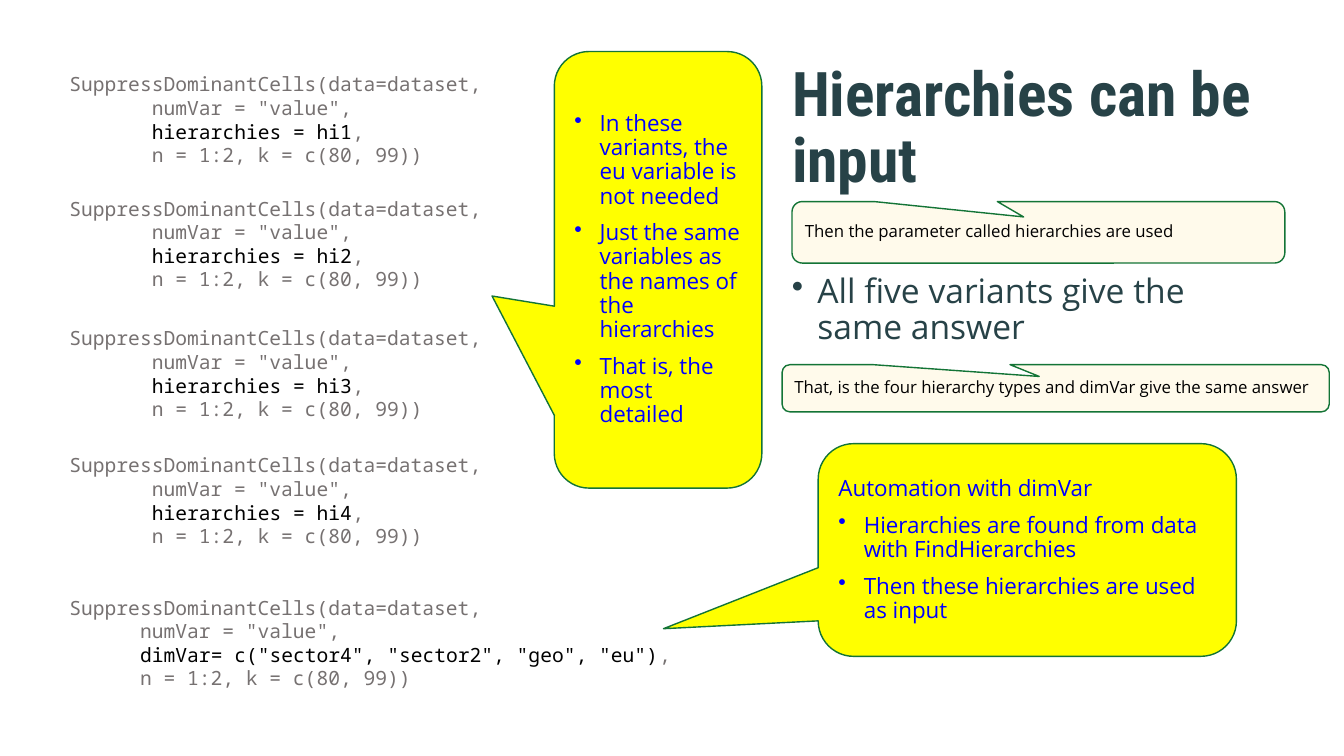
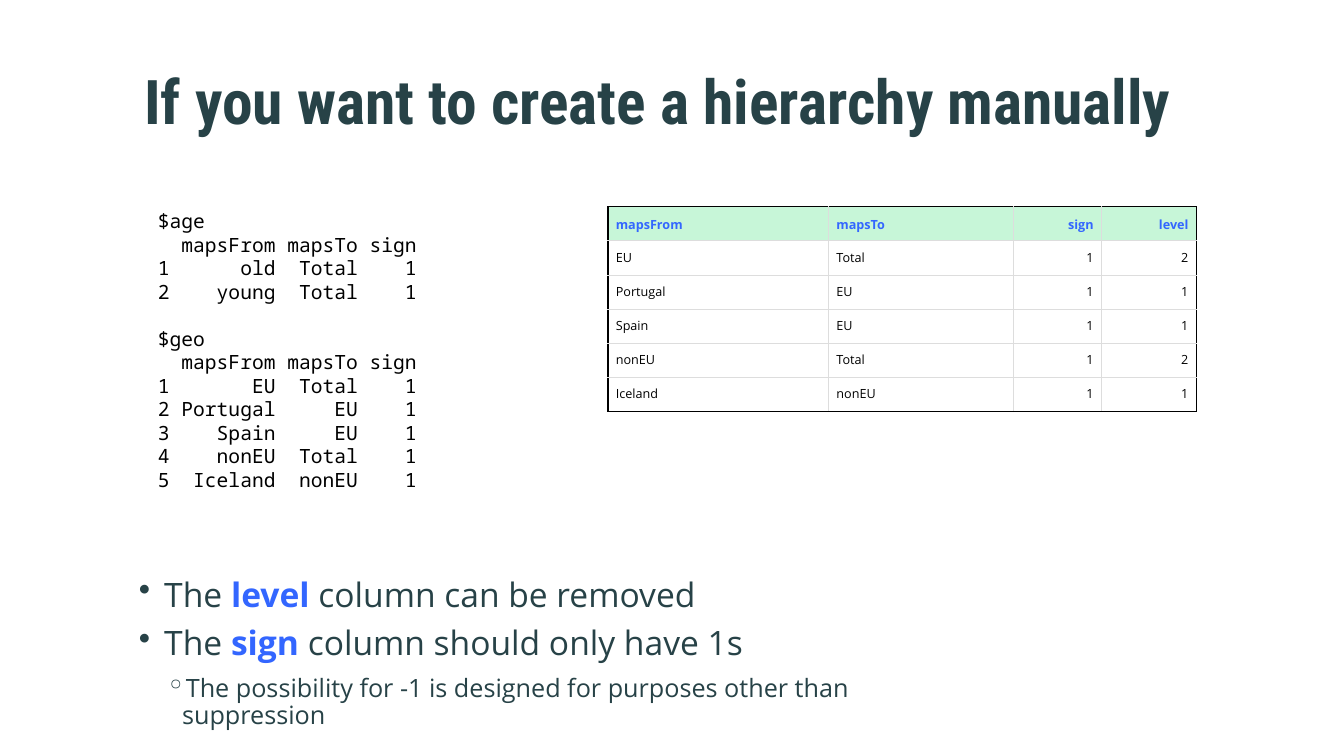
from lxml import etree
from pptx import Presentation
from pptx.dml.color import RGBColor
from pptx.enum.shapes import MSO_SHAPE
from pptx.enum.text import MSO_ANCHOR, MSO_AUTO_SIZE, PP_ALIGN
from pptx.oxml.ns import qn
from pptx.util import Cm, Pt

CALLOUT = MSO_SHAPE.ROUNDED_RECTANGULAR_CALLOUT
TOP, MIDDLE, BOTTOM = MSO_ANCHOR.TOP, MSO_ANCHOR.MIDDLE, MSO_ANCHOR.BOTTOM
LEFT, RIGHT = PP_ALIGN.LEFT, PP_ALIGN.RIGHT
NO_AUTOFIT = MSO_AUTO_SIZE.NONE
TITLE_ONLY = 5

TEAL, BLACK, GREY, WHITE = "274247", "000000", "767171", "FFFFFF"
BLUE, ACCENT, GREEN = "0000FF", "3366FF", "137436"
YELLOW, CREAM, MINT, RULE = "FFFF00", "FFFAEB", "C7F6D8", "DDDDDD"

# Text styles: font values, colour, and colour and weight of |marked| words
SANS, MONO = "Open Sans", "Noto Sans Mono"
TITLE = {"font": {"name": "Roboto Condensed", "size": Pt(44), "bold": True},
         "colour": TEAL, "spacing": 0.9}
BODY = {"font": {"name": SANS, "size": Pt(24)}, "colour": TEAL, "spacing": 0.9,
        "after": 9, "marked": (ACCENT, True)}
SUBPOINT = {**BODY, "font": {"name": SANS, "size": Pt(18)}, "after": 6}
CODE = {"font": {"name": MONO, "size": Pt(14)}, "colour": GREY,
        "marked": (BLACK, False)}
PRINTOUT = {**CODE, "colour": BLACK}
REMARK = {"font": {"name": SANS, "size": Pt(16)}, "colour": BLUE,
          "spacing": 0.9, "after": 9}
NOTE = {**REMARK, "font": {"name": SANS, "size": Pt(12)}, "colour": BLACK}
CELL = {"font": {"name": SANS, "size": Pt(9), "bold": False}, "colour": BLACK}
HEADER = {"font": {"name": SANS, "size": Pt(9), "bold": True}, "colour": ACCENT}

# Bullets: character, left margin and hanging indent in cm
DOT, RING = ("•", 0.64, -0.64), ("◦", 1.09, -0.41)

# Slide 1
CALL_INPUTS = [  # top in cm, indent, input argument
    (1.7, 7, "hierarchies = hi1"),
    (4.83, 7, "hierarchies = hi2"),
    (8.1, 7, "hierarchies = hi3"),
    (11.3, 7, "hierarchies = hi4"),
    (14.88, 6, 'dimVar= c("sector4", "sector2", "geo", "eu")'),
]
CALLOUTS = [  # box in cm, tail adjustments, fill, style, (text, bullet) pairs
    ((13.97, 1.3, 5.23, 11), (-0.8, 0.06), YELLOW, REMARK, [
        ("In these variants, the eu variable is not needed", DOT),
        ("Just the same variables as the names of the hierarchies", DOT),
        ("That is, the most detailed", DOT)]),
    ((20.62, 11.18, 10.54, 5.36), (-0.87, 0.37), YELLOW, REMARK, [
        ("Automation with dimVar", None),
        ("Hierarchies are found from data with FindHierarchies", DOT),
        ("Then these hierarchies are used as input", DOT)]),
    ((19.96, 5.08, 12.42, 1.55), (-0.03, -0.25), CREAM, NOTE, [
        ("Then the parameter called hierarchies are used", None)]),
    ((19.71, 9.19, 13.79, 1.19), (-0.03, -0.25), CREAM, NOTE, [
        ("That, is the four hierarchy types and dimVar give the same answer", None)]),
]

# Slide 2
HIERARCHY_PRINTOUT = [
    "$age",
    "  mapsFrom mapsTo sign",
    "1      old  Total    1",
    "2    young  Total    1",
    "$geo",
    "  mapsFrom mapsTo sign",
    "1       EU  Total    1",
    "2 Portugal     EU    1",
    "3    Spain     EU    1",
    "4    nonEU  Total    1",
    "5  Iceland  nonEU    1",
]
GEO_ROWS = [
    ("mapsFrom", "mapsTo", "sign", "level"),
    ("EU", "Total", 1, 2),
    ("Portugal", "EU", 1, 1),
    ("Spain", "EU", 1, 1),
    ("nonEU", "Total", 1, 2),
    ("Iceland", "nonEU", 1, 1),
]
COLUMN_WIDTHS = [5.56, 4.67, 2.21, 2.39]
COLUMN_ALIGNS = [LEFT, LEFT, RIGHT, RIGHT]
ROW_HEIGHT = 0.86


def rgb(colour):
    return RGBColor.from_string(colour)


def apply(target, values):
    for name, value in values.items():
        setattr(target, name, value)


def cm_box(box):
    return [Cm(length) for length in box]


def add_bullet(paragraph, bullet):
    character, margin, indent = bullet
    properties = paragraph._p.get_or_add_pPr()
    properties.set("marL", str(Cm(margin)))
    properties.set("indent", str(Cm(indent)))
    etree.SubElement(properties, qn("a:buChar")).set("char", character)


def write(paragraph, text, style, bullet=None, align=LEFT):
    """Fill a paragraph; words between | signs get the style's marked look."""
    if bullet:
        add_bullet(paragraph, bullet)
    apply(paragraph, {"alignment": align, "line_spacing": style.get("spacing", 1.0),
                      "space_before": Pt(0), "space_after": Pt(style.get("after", 0))})
    for index, piece in enumerate(text.split("|")):
        if not piece:
            continue
        run = paragraph.add_run()
        run.text = piece
        apply(run.font, style["font"])
        colour = style["colour"]
        if index % 2:
            colour, run.font.bold = style["marked"]
        run.font.color.rgb = rgb(colour)


def write_all(frame, entries, anchor=TOP):
    """Write (text, style, bullet) entries as the paragraphs of a frame."""
    apply(frame, {"word_wrap": True, "auto_size": NO_AUTOFIT, "vertical_anchor": anchor})
    for index, entry in enumerate(entries):
        paragraph = frame.add_paragraph() if index else frame.paragraphs[0]
        write(paragraph, *entry)
    return frame


def add_text(slide, box, entries):
    return write_all(slide.shapes.add_textbox(*cm_box(box)).text_frame, entries)


def add_titled_slide(deck, title, box):
    slide = deck.slides.add_slide(deck.slide_layouts[TITLE_ONLY])
    heading = slide.shapes.title
    apply(heading, dict(zip(("left", "top", "width", "height"), cm_box(box))))
    apply(heading.text_frame, {"margin_left": Cm(0.25), "margin_right": Cm(0.25),
                               "margin_top": 0, "margin_bottom": Cm(0.13)})
    write_all(heading.text_frame, [(title, TITLE)], MIDDLE)
    return slide


def add_callout(slide, box, tail, fill, style, points):
    callout = slide.shapes.add_shape(CALLOUT, *cm_box(box))
    callout.shadow.inherit = False
    callout.adjustments[0], callout.adjustments[1] = tail
    callout.fill.solid()
    callout.fill.fore_color.rgb = rgb(fill)
    callout.line.color.rgb = rgb(GREEN)
    callout.line.width = Pt(1)
    write_all(callout.text_frame, [(text, style, bullet) for text, bullet in points], MIDDLE)


def add_borders(cell, outer_sides):
    """Rule all sides of a cell, with a black line on the table's outline."""
    properties = cell._tc.get_or_add_tcPr()
    for position, side in enumerate(("L", "R", "T", "B")):
        colour, width = (BLACK, 1) if side in outer_sides else (RULE, 0.75)
        line = etree.Element(qn(f"a:ln{side}"), w=str(Pt(width)))
        fill = etree.SubElement(line, qn("a:solidFill"))
        etree.SubElement(fill, qn("a:srgbClr")).set("val", colour)
        properties.insert(position, line)


def add_hierarchy_table(slide, left, top):
    last_row, last_column = len(GEO_ROWS) - 1, len(COLUMN_WIDTHS) - 1
    box = (left, top, sum(COLUMN_WIDTHS), ROW_HEIGHT * len(GEO_ROWS))
    table = slide.shapes.add_table(len(GEO_ROWS), len(COLUMN_WIDTHS), *cm_box(box)).table
    table.horz_banding = False
    for column, width in zip(table.columns, COLUMN_WIDTHS):
        column.width = Cm(width)
    margins = {f"margin_{side}": Cm(0.2) for side in ("left", "right", "top", "bottom")}
    for r, values in enumerate(GEO_ROWS):
        table.rows[r].height = Cm(ROW_HEIGHT)
        style, fill, anchor = (CELL, WHITE, TOP) if r else (HEADER, MINT, BOTTOM)
        for c, value in enumerate(values):
            cell = table.cell(r, c)
            apply(cell, {**margins, "vertical_anchor": anchor})
            cell.fill.solid()
            cell.fill.fore_color.rgb = rgb(fill)
            write(cell.text_frame.paragraphs[0], str(value), style, align=COLUMN_ALIGNS[c])
            edges = {"L": c == 0, "R": c == last_column, "T": r == 0, "B": r == last_row}
            add_borders(cell, [side for side, outer in edges.items() if outer])


def build_input_slide(deck):
    slide = add_titled_slide(deck, "Hierarchies can be input", (19.71, 1.52, 13.49, 3.63))
    for top, indent, argument in CALL_INPUTS:
        pad = " " * indent
        lines = ["SuppressDominantCells(data=dataset,",
                 f'{pad}numVar = "value",',
                 f"{pad}|{argument}|,",
                 f"{pad}n = 1:2, k = c(80, 99))"]
        add_text(slide, (1.5, top, 24.43, 2.64), [(line, CODE) for line in lines])
    add_text(slide, (19.71, 6.78, 12.4, 2.4),
             [("All five variants give the same answer", BODY, DOT)])
    for callout in CALLOUTS:
        add_callout(slide, *callout)


def build_manual_slide(deck):
    slide = add_titled_slide(deck, "If you want to create a hierarchy manually",
                             (3.38, 1.52, 26.82, 2.36))
    printout = add_text(slide, (3.73, 5.14, 9.37, 7.43),
                        [(line, PRINTOUT) for line in HIERARCHY_PRINTOUT])
    printout.paragraphs[HIERARCHY_PRINTOUT.index("$geo")].space_before = Pt(16.8)
    add_hierarchy_table(slide, 15.32, 5.21)
    add_text(slide, (3.25, 13.82, 22.1, 4.01), [
        ("The |level |column can be removed", {**BODY, "spacing": 1.5}, DOT),
        ("The |sign |column should only have 1s", BODY, DOT),
        ("The possibility for -1 is designed for purposes other than suppression",
         SUBPOINT, RING)])


def main():
    deck = Presentation()
    deck.slide_width, deck.slide_height = Cm(33.87), Cm(19.05)
    build_input_slide(deck)
    build_manual_slide(deck)
    deck.save("out.pptx")


if __name__ == "__main__":
    main()
